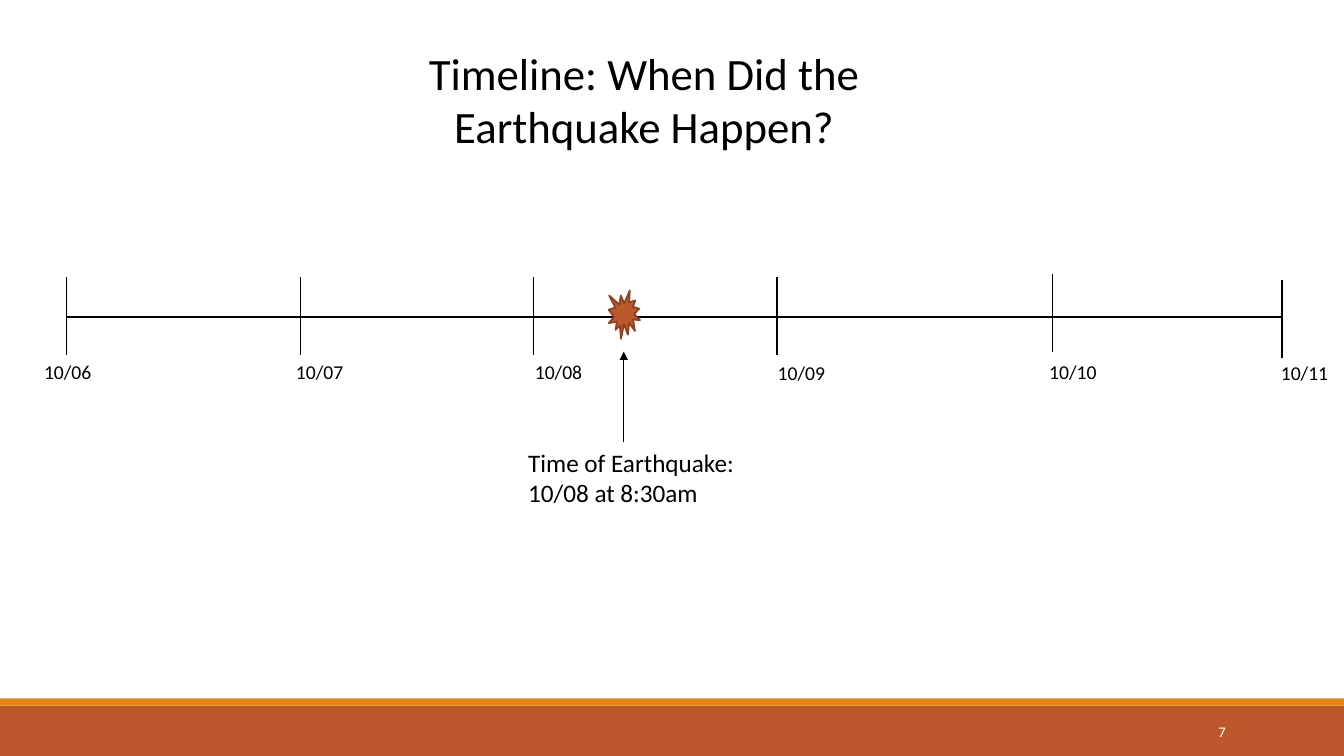
from pptx import Presentation
from pptx.dml.color import RGBColor
from pptx.enum.shapes import MSO_CONNECTOR, MSO_SHAPE
from pptx.enum.text import MSO_ANCHOR, PP_ALIGN
from pptx.oxml.ns import qn
from pptx.util import Cm, Pt
from lxml import etree

LINE = MSO_CONNECTOR.STRAIGHT
RECT, BURST = MSO_SHAPE.RECTANGLE, MSO_SHAPE.EXPLOSION1
LEFT, MID, RIGHT = PP_ALIGN.LEFT, PP_ALIGN.CENTER, PP_ALIGN.RIGHT
TOP, CENTER = MSO_ANCHOR.TOP, MSO_ANCHOR.MIDDLE

FONT = "Calibri"
COLORS = {"ink": "000000", "rust": "BD582C", "edge": "8C4121",
          "gold": "E48312", "white": "FFFFFF"}

WIDE, HIGH = 33.87, 19.05
TITLE = "Timeline: When Did the Earthquake Happen?"
EVENT = ["Time of Earthquake:", "10/08 at 8:30am"]
NUMBER = "7"
DAYS = [
    ("10/06", 1.68, 6.99, 0.86, 8.94, 1.96),
    ("10/07", 7.57, 6.99, 7.21, 8.94, 2.26),
    ("10/08", 13.44, 6.99, 13.23, 8.94, 1.75),
    ("10/09", 19.58, 6.99, 19.35, 8.97, 1.88),
    ("10/10", 26.52, 6.91, 26.19, 8.94, 1.88),
    ("10/11", 32.31, 7.06, 32.03, 8.97, 1.88),
]
TICK, AXIS = 1.96, 7.98
BANDS = [(17.78, 1.27, "rust"), (17.6, 0.18, "gold")]

deck = Presentation()
deck.slide_width, deck.slide_height = Cm(WIDE), Cm(HIGH)
slide = deck.slides.add_slide(deck.slide_layouts[6])
shapes = slide.shapes


def color(name):
    return RGBColor.from_string(COLORS[name])


def add_text(lines, x, y, w, h, size=14, ink="ink", align=LEFT, anchor=TOP):
    frame = shapes.add_textbox(Cm(x), Cm(y), Cm(w), Cm(h)).text_frame
    frame.word_wrap = True
    frame.vertical_anchor = anchor
    for i, line in enumerate(lines):
        para = frame.paragraphs[0] if i == 0 else frame.add_paragraph()
        para.alignment = align
        run = para.add_run()
        run.text = line
        run.font.name = FONT
        run.font.size = Pt(size)
        run.font.color.rgb = color(ink)


def add_line(x1, y1, x2, y2, width=1, head=False):
    line = shapes.add_connector(LINE, Cm(x1), Cm(y1), Cm(x2), Cm(y2))
    line.line.color.rgb = color("ink")
    line.line.width = Pt(width)
    if head:
        tip = etree.SubElement(line.line._get_or_add_ln(), qn("a:tailEnd"))
        tip.set("type", "triangle")
    etree.SubElement(line._element.spPr, qn("a:effectLst"))


def add_shape(kind, x, y, w, h, fill, edge=None):
    shape = shapes.add_shape(kind, Cm(x), Cm(y), Cm(w), Cm(h))
    shape.shadow.inherit = False
    shape.fill.solid()
    shape.fill.fore_color.rgb = color(fill)
    if edge:
        shape.line.color.rgb = color(edge)
        shape.line.width = Pt(1.25)
    else:
        shape.line.fill.background()


for y, h, fill in BANDS:
    add_shape(RECT, 0, y, WIDE, h, fill)

add_line(DAYS[0][1], AXIS, DAYS[-1][1], AXIS, width=1.5)
for day, x, y, left, top, w in DAYS:
    add_line(x, y, x, y + TICK)
    add_text([day], left, top, w, 0.86)

add_shape(BURST, 15.34, 7.32, 0.79, 1.22, "rust", edge="edge")
add_line(15.72, 11.15, 15.72, 8.86, head=True)
add_text(EVENT, 13.06, 11.15, 6.17, 1.8, size=18)
add_text([TITLE], 9.3, 1.02, 13.87, 3, size=32, align=MID)
add_text([NUMBER], 27.51, 17.93, 3.63, 1.02, size=10.5, ink="white",
         align=RIGHT, anchor=CENTER)

deck.save("out.pptx")
